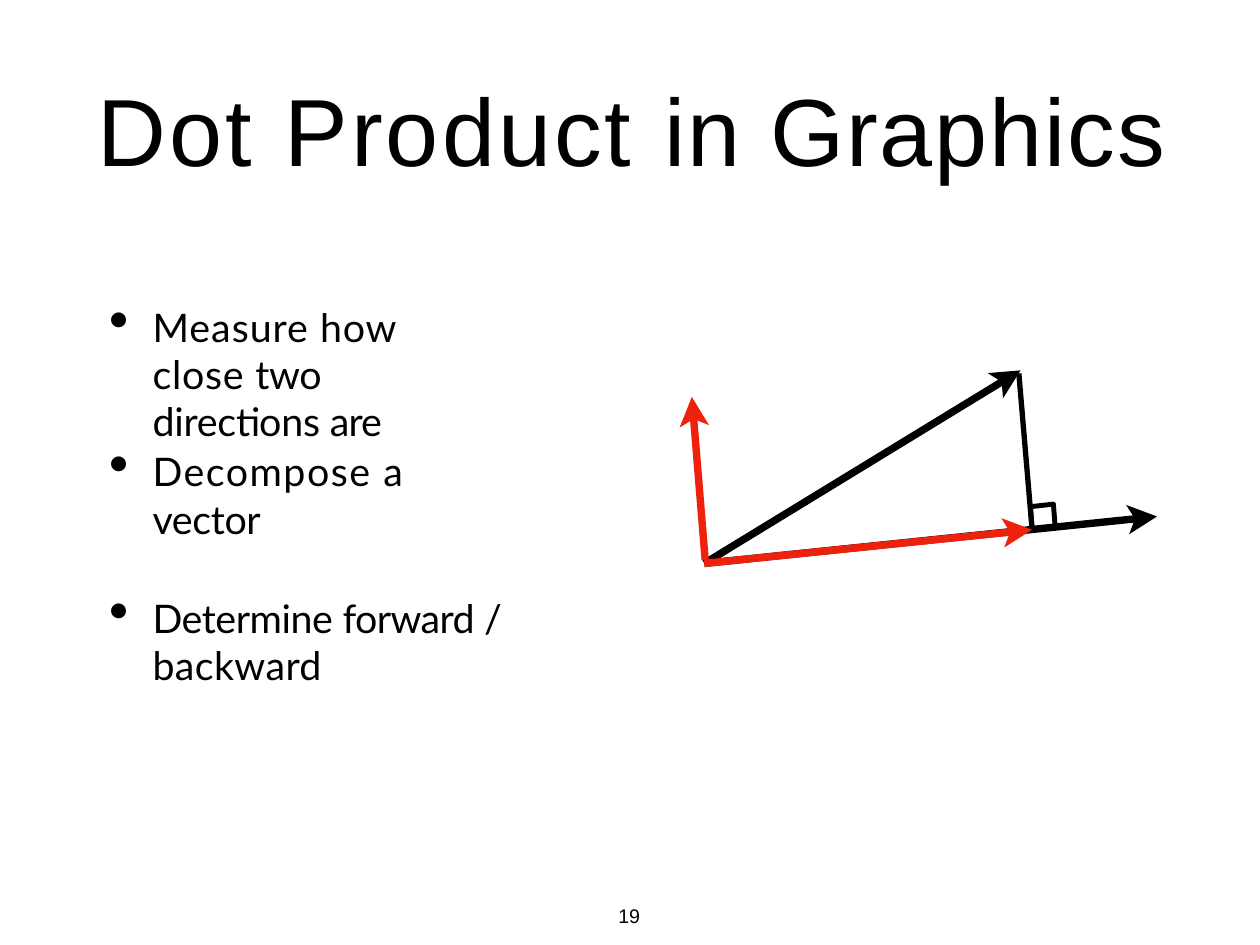
from dataclasses import dataclass
from math import hypot
from typing import NamedTuple

from lxml.etree import SubElement as Sub
from pptx import Presentation
from pptx.dml.color import RGBColor as Rgb
from pptx.enum.shapes import MSO_CONNECTOR as Link
from pptx.oxml.ns import qn
from pptx.slide import Slide
from pptx.util import Pt

COLORS = {"black": "000000", "red": "EE220C", "white": "FFFFFF"}


class Point(NamedTuple):
    x: float
    y: float


class Piece(NamedTuple):
    text: str
    track: float


@dataclass
class Para:
    pieces: list[Piece]
    before: float = 0
    lead: float | None = None


@dataclass
class Block:
    left: float
    top: float
    width: float
    height: float
    font: str
    size: float
    paras: list[Para]
    indent: float = 0


@dataclass
class Arrow:
    start: Point
    tip: Point
    color: str


BLOCKS = [
    Block(79.6, 57.6, 880, 94, "Arial", 77.5, [
        Para([Piece("Dot ", 2.4), Piece("Product ", 2.5),
              Piece("in ", 1.4), Piece("Graphics", 1.6)])]),
    Block(88, 247, 308, 116, "Lato", 32, [
        Para([Piece("Measure ", 0.8), Piece("how close ", 0.6), Piece("two ", -0.3),
              Piece("directions ", -0.2), Piece("are", -0.8)], lead=38)], 36),
    Block(86, 363.6, 338, 158, "Lato", 32, [
        Para([Piece("Decompose ", 1.2), Piece("a ", 0.3), Piece("vector", -0.3)]),
        Para([Piece("Determine ", -0.4), Piece("forward ", -0.5),
              Piece("/ ", -6.2), Piece("backward", 0.3)], 43, 38)], 38),
    Block(502.6, 734.6, 24, 20, "Arial", 16, [Para([Piece("19", -0.1)])]),
]

ROOT = Point(572.4, 457.9)
PEAK = Point(829.4, 301)
FOOT = Point(838.8, 430.6)
BLACK = [Arrow(ROOT, Point(940.3, 419.8), "black"), Arrow(ROOT, PEAK, "black")]
RED = [Arrow(ROOT, FOOT, "red"),
       Arrow(Point(573.1, 455), Point(562.3, 322.6), "red")]
CORNER = [Point(857.5, 428.4), Point(838.8, 429.8),
          Point(837.4, 411.8), Point(856.1, 409.7)]


def tint(name: str) -> Rgb:
    return Rgb.from_string(COLORS[name])


def add_block(slide: Slide, block: Block) -> None:
    box = slide.shapes.add_textbox(
        Pt(block.left), Pt(block.top), Pt(block.width), Pt(block.height))
    frame = box.text_frame
    frame.word_wrap = True
    frame.margin_left = frame.margin_right = 0
    frame.margin_top = frame.margin_bottom = 0
    for index, para in enumerate(block.paras):
        line = frame.add_paragraph() if index else frame.paragraphs[0]
        if para.before:
            line.space_before = Pt(para.before)
        if para.lead:
            line.line_spacing = Pt(para.lead)
        if block.indent:
            props = line._p.get_or_add_pPr()
            props.set("marL", str(Pt(block.indent)))
            props.set("indent", str(Pt(-35.3)))
            Sub(props, qn("a:buSzPct")).set("val", "145000")
            Sub(props, qn("a:buChar")).set("char", "•")
        for piece in para.pieces:
            run = line.add_run()
            run.text = piece.text
            run.font.name = block.font
            run.font.size = Pt(block.size)
            run.font.color.rgb = tint("black")
            run._r.get_or_add_rPr().set("spc", str(round(piece.track * 100)))


def add_line(slide: Slide, start: Point, end: Point, color: str, width: float) -> None:
    line = slide.shapes.add_connector(
        Link.STRAIGHT, Pt(start.x), Pt(start.y), Pt(end.x), Pt(end.y))
    line.line.color.rgb = tint(color)
    line.line.width = Pt(width)
    Sub(line._element.spPr, qn("a:effectLst"))


def add_path(slide: Slide, points: list[Point]):
    first, *rest = [(Pt(p.x), Pt(p.y)) for p in points]
    pen = slide.shapes.build_freeform(*first)
    pen.add_line_segments(rest, close=True)
    shape = pen.convert_to_shape()
    shape.shadow.inherit = False
    return shape


def add_arrow(slide: Slide, arrow: Arrow) -> None:
    tip = arrow.tip
    dx, dy = tip.x - arrow.start.x, tip.y - arrow.start.y
    size = hypot(dx, dy)
    ux, uy = dx / size, dy / size

    def spot(back: float, side: float) -> Point:
        return Point(tip.x - ux * back - uy * side, tip.y - uy * back + ux * side)

    add_line(slide, arrow.start, spot(15, 0), arrow.color, 6)
    head = add_path(slide, [tip, spot(24, 12), spot(18, 0), spot(24, -12)])
    head.fill.solid()
    head.fill.fore_color.rgb = tint(arrow.color)
    head.line.fill.background()


def main() -> None:
    deck = Presentation()
    deck.slide_width, deck.slide_height = Pt(1024), Pt(768)
    slide = deck.slides.add_slide(deck.slide_layouts[6])
    slide.background.fill.solid()
    slide.background.fill.fore_color.rgb = tint("white")
    for block in BLOCKS:
        add_block(slide, block)
    for arrow in BLACK:
        add_arrow(slide, arrow)
    add_line(slide, Point(828, 303.5), FOOT, "black", 4.3)
    corner = add_path(slide, CORNER)
    corner.fill.background()
    corner.line.color.rgb = tint("black")
    corner.line.width = Pt(4)
    for arrow in RED:
        add_arrow(slide, arrow)
    deck.save("out.pptx")


if __name__ == "__main__":
    main()
